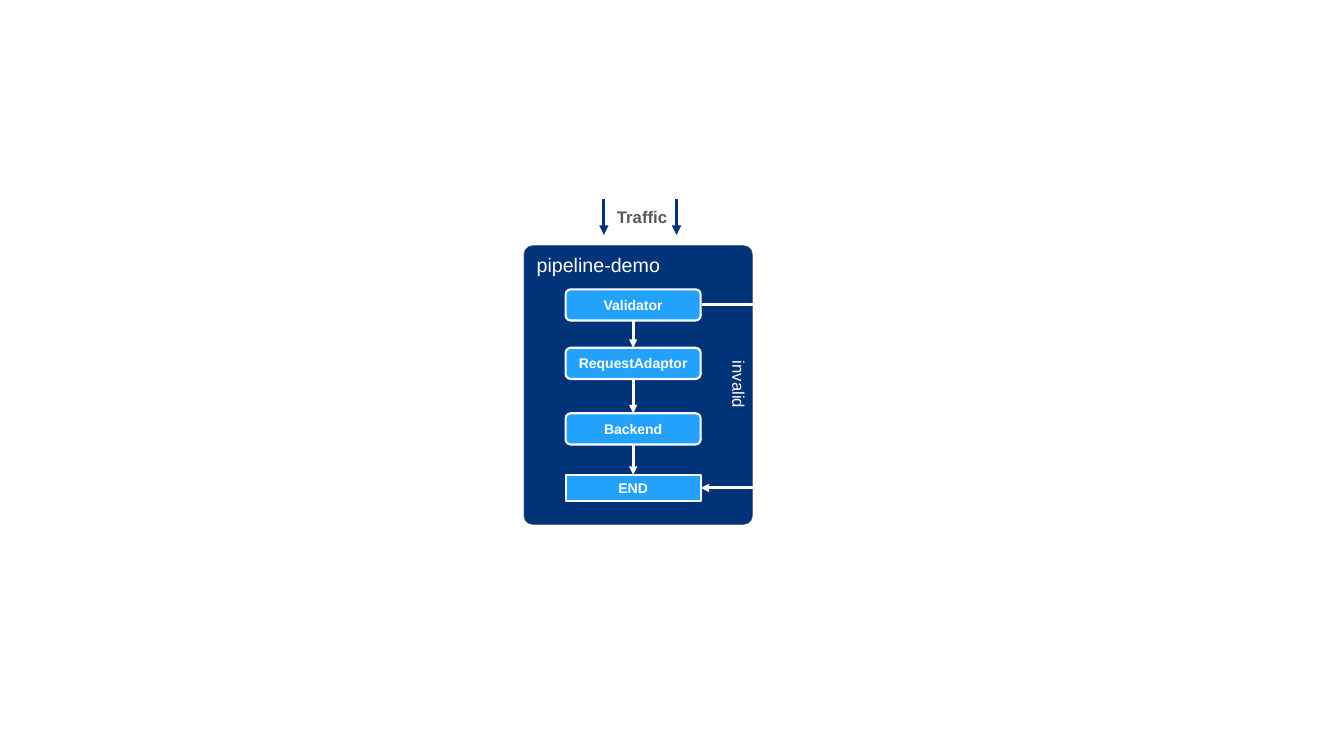
import pptx
import pptx.util
import pptx.dml.color
import pptx.enum.shapes
import pptx.enum.text
import pptx.oxml
import pptx.oxml.ns

Inches = pptx.util.Inches
Pt = pptx.util.Pt
SHAPE = pptx.enum.shapes.MSO_SHAPE
CONNECTOR = pptx.enum.shapes.MSO_CONNECTOR
ALIGN = pptx.enum.text.PP_ALIGN
ANCHOR = pptx.enum.text.MSO_ANCHOR

COLOURS = {
    "navy": "003378",
    "edge": "002659",
    "blue": "22A2FD",
    "white": "FFFFFF",
    "grey": "595959",
}
STAGE_LEFT, STAGE_WIDTH = 5.61, 1.34
STAGES = [
    ("Validator", 2.87, 0.31, SHAPE.ROUNDED_RECTANGLE),
    ("RequestAdaptor", 3.45, 0.31, SHAPE.ROUNDED_RECTANGLE),
    ("Backend", 4.1, 0.31, SHAPE.ROUNDED_RECTANGLE),
    ("END", 4.71, 0.26, SHAPE.RECTANGLE),
]
TOP_SITE, BOTTOM_SITE = 0, 2


def colour(name):
    return pptx.dml.color.RGBColor.from_string(COLOURS[name])


def add_xml(parent, tag, **attributes):
    element = pptx.oxml.parse_xml(f"<a:{tag} {pptx.oxml.ns.nsdecls('a')}/>")
    for name, value in attributes.items():
        element.set(name, value)
    parent.append(element)


def write(shape, text, size, ink, bold=False, align=ALIGN.LEFT, anchor=ANCHOR.TOP, wrap=True):
    frame = shape.text_frame
    for name, value in {"word_wrap": wrap, "vertical_anchor": anchor}.items():
        setattr(frame, name, value)
    para = frame.paragraphs[0]
    para.alignment = align
    span = para.add_run()
    span.text = text
    for name, value in {"name": "Arial", "size": Pt(size), "bold": bold}.items():
        setattr(span.font, name, value)
    span.font.color.rgb = colour(ink)


def add_block(page, kind, left, top, width, height, fill, line, weight):
    block = page.shapes.add_shape(kind, Inches(left), Inches(top), Inches(width), Inches(height))
    block.shadow.inherit = False
    block.fill.solid()
    block.fill.fore_color.rgb = colour(fill)
    block.line.color.rgb = colour(line)
    block.line.width = Pt(weight)
    return block


def add_panel(page):
    panel = add_block(page, SHAPE.ROUNDED_RECTANGLE, 5.2, 2.44, 2.26, 2.76, "navy", "edge", 1)
    panel.adjustments[0] = 0.037
    edge = panel.line.fill._xPr.find(".//" + pptx.oxml.ns.qn("a:srgbClr"))
    add_xml(edge, "alpha", val="62000")
    write(panel, "pipeline-demo", 14, "white")


def add_stage(page, text, top, height, kind):
    stage = add_block(page, kind, STAGE_LEFT, top, STAGE_WIDTH, height, "blue", "white", 1.5)
    write(stage, text, 10, "white", True, ALIGN.CENTER, ANCHOR.MIDDLE)
    return stage


def add_arrow(page, start, end, ink, weight, kind=CONNECTOR.STRAIGHT):
    points = [Inches(value) for value in (*start, *end)]
    arrow = page.shapes.add_connector(kind, *points)
    arrow.line.color.rgb = colour(ink)
    arrow.line.width = Pt(weight)
    add_xml(arrow.line._get_or_add_ln(), "tailEnd", type="triangle")
    add_xml(arrow._element.spPr, "effectLst")
    return arrow


def add_bypass(page):
    right = STAGE_LEFT + STAGE_WIDTH
    step, reach = 0.01, 0.55
    bypass = add_arrow(page, (right + step, 3.02), (right, 4.84), "white", 2, CONNECTOR.ELBOW)
    guides = bypass._element.spPr.prstGeom.get_or_add_avLst()
    add_xml(guides, "gd", name="adj1", fmla=f"val {-round(reach / step * 100000)}")


def add_label(page, text, left, top, width, ink, bold=False, rotation=0):
    box = page.shapes.add_textbox(Inches(left), Inches(top), Inches(width), Inches(0.3))
    box.rotation = rotation
    write(box, text, 12, ink, bold, wrap=False)


def main():
    deck = pptx.Presentation()
    deck.slide_width, deck.slide_height = Inches(13.33), Inches(7.5)
    page = deck.slides.add_slide(deck.slide_layouts[6])

    add_panel(page)
    stages = [add_stage(page, *stage) for stage in STAGES]
    middle = STAGE_LEFT + STAGE_WIDTH / 2
    for index, (upper, lower) in enumerate(zip(stages, stages[1:])):
        bottom = STAGES[index][1] + STAGES[index][2]
        arrow = add_arrow(page, (middle, bottom), (middle, STAGES[index + 1][1]), "white", 2)
        arrow.begin_connect(upper, BOTTOM_SITE)
        arrow.end_connect(lower, TOP_SITE)
    add_bypass(page)
    add_label(page, "invalid", 6.99, 3.67, 0.68, "white", rotation=90)

    for x in (5.99, 6.71):
        add_arrow(page, (x, 1.97), (x, 2.33), "navy", 2.25)
    add_label(page, "Traffic", 6.02, 2, 0.71, "grey", bold=True)

    deck.save("out.pptx")


if __name__ == "__main__":
    main()
